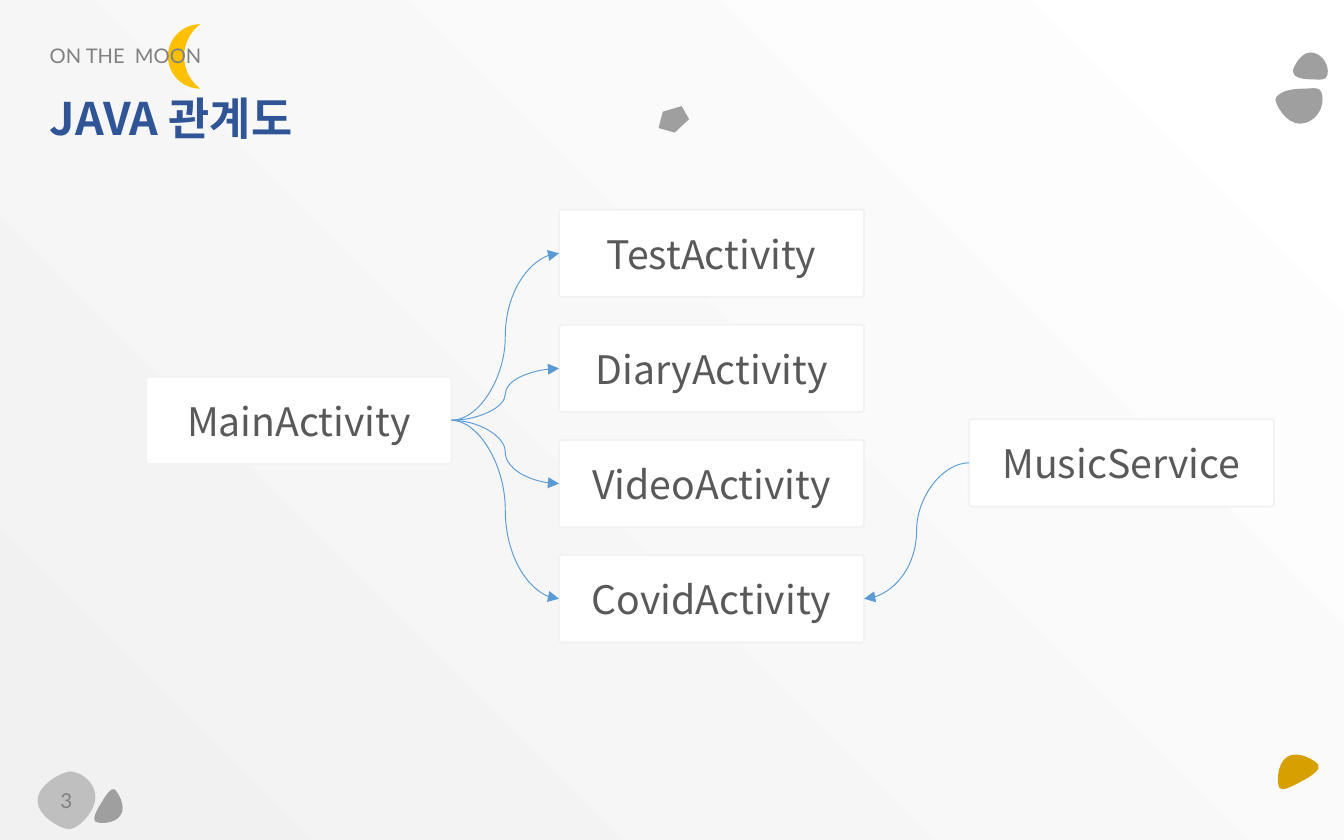
import math

import lxml.etree
import pptx
import pptx.util
from pptx.dml.color import RGBColor
from pptx.enum.shapes import MSO_CONNECTOR, MSO_SHAPE
from pptx.enum.text import MSO_ANCHOR, MSO_AUTO_SIZE, PP_ALIGN
from pptx.oxml.ns import qn

WIDTH, HEIGHT = 10, 6.25
COLORS = {
    "shade": "F1F1F1", "white": "FFFFFF", "border": "F2F2F2",
    "stone": "9F9F9F", "badge": "BFBFBF", "moon": "FFC000", "gold": "D6A100",
    "muted": "808080", "heading": "2F5597", "label": "595959", "arrow": "5B9BD5",
}
LATIN, KOREAN = "Lato", "Noto Sans CJK KR"

SECTION, HEADING, PAGE = "ON THE  MOON", "JAVA 관계도", "3"

# class name: (column, row) on the diagram grid
CLASSES = {
    "MainActivity": (0, 1.45),
    "TestActivity": (1, 0),
    "DiaryActivity": (1, 1),
    "VideoActivity": (1, 2),
    "CovidActivity": (1, 3),
    "MusicService": (2, 1.82),
}
CALLS = [("MainActivity", name) for name, (column, _) in CLASSES.items() if column == 1]
CALLS.append(("MusicService", "CovidActivity"))

COLUMN_LEFTS = (1.09, 4.16, 7.21)
GRID_TOP, ROW_PITCH = 1.56, 2.57 / 3
BOX_WIDTH, BOX_HEIGHT = 2.27, 0.65
LEFT_SITE, RIGHT_SITE = 1, 3

# colour, rotation, centre, then the start and the Bezier points, three to a curve
PEBBLES = [
    ("stone", 0, (9.66, 0.79), [
        (9.49, 0.74), (9.5, 0.69), (9.59, 0.66), (9.69, 0.66), (9.78, 0.66), (9.84, 0.63),
        (9.84, 0.74), (9.84, 0.84), (9.76, 0.92), (9.67, 0.92), (9.57, 0.92), (9.49, 0.78),
        (9.49, 0.74)]),
    ("stone", 30, (0.83, 6.02), [
        (0.75, 5.98), (0.79, 5.91), (0.83, 5.86), (0.85, 5.87), (0.88, 5.89), (0.94, 6),
        (0.9, 6.06), (0.86, 6.13), (0.74, 6.13), (0.71, 6.11), (0.69, 6.1), (0.71, 6.04),
        (0.75, 5.98)]),
    ("stone", 0, (9.75, 0.49), [
        (9.62, 0.53), (9.62, 0.5), (9.68, 0.39), (9.75, 0.39), (9.82, 0.39), (9.88, 0.46),
        (9.88, 0.53), (9.88, 0.61), (9.82, 0.59), (9.75, 0.59), (9.68, 0.59), (9.62, 0.57),
        (9.62, 0.53)]),
    ("gold", 240, (9.63, 5.73), [
        (9.68, 5.82), (9.59, 5.87), (9.52, 5.9), (9.51, 5.87), (9.49, 5.84), (9.49, 5.69),
        (9.57, 5.64), (9.65, 5.59), (9.78, 5.67), (9.8, 5.7), (9.82, 5.73), (9.76, 5.78),
        (9.68, 5.82)]),
]
PAGE_BADGE = ("badge", 0, (0.49, 5.95), [
    (0.28, 5.96), (0.28, 5.84), (0.45, 5.75), (0.52, 5.74), (0.59, 5.74), (0.71, 5.81),
    (0.71, 5.93), (0.71, 6.04), (0.59, 6.16), (0.52, 6.17), (0.45, 6.17), (0.28, 6.07),
    (0.28, 5.96)])


def inches(*lengths):
    return [pptx.util.Inches(length) for length in lengths]


def rgb(color):
    return RGBColor.from_string(COLORS[color])


def paint(shape, fill, line=None):
    shape.shadow.inherit = False
    shape.fill.solid()
    shape.fill.fore_color.rgb = rgb(fill)
    if line:
        shape.line.color.rgb = rgb(line)
        shape.line.width = pptx.util.Pt(1)
    else:
        shape.line.fill.background()


def write(shape, text, size, font, color, align, bold=False, before=0, spacing=1.0):
    frame = shape.text_frame
    frame.text = text
    frame.word_wrap = True
    frame.auto_size = MSO_AUTO_SIZE.NONE
    frame.vertical_anchor = MSO_ANCHOR.MIDDLE
    paragraph = frame.paragraphs[0]
    paragraph.alignment = align
    paragraph.space_before = pptx.util.Pt(before)
    paragraph.line_spacing = spacing
    run = paragraph.runs[0]
    run.font.size, run.font.name, run.font.bold = pptx.util.Pt(size), font, bold
    run.font.color.rgb = rgb(color)
    east_asian = lxml.etree.SubElement(run.font._element, qn("a:ea"))
    east_asian.set("typeface", font)


def place(shape, *box):
    shape.left, shape.top, shape.width, shape.height = inches(*box)
    shape._element.getparent().append(shape._element)  # bring to front


def turn(point, center, degrees):
    angle = math.radians(degrees)
    x, y = point[0] - center[0], point[1] - center[1]
    return (center[0] + x * math.cos(angle) - y * math.sin(angle),
            center[1] + x * math.sin(angle) + y * math.cos(angle))


def add_pebble(shapes, color, rotation, center, points):
    start, *rest = [inches(*turn(point, center, -rotation)) for point in points]
    outline = shapes.build_freeform(*start)
    outline.add_line_segments(rest, close=True)
    pebble = outline.convert_to_shape()
    # Join each three straight steps into one Bezier curve.
    steps = list(pebble._element.iter(qn("a:lnTo")))
    for first in range(0, len(rest), 3):
        curve = lxml.etree.Element(qn("a:cubicBezTo"))
        steps[first].addprevious(curve)
        for step in steps[first:first + 3]:
            curve.append(step[0])
            step.getparent().remove(step)
    pebble.rotation = rotation
    paint(pebble, color)
    return pebble


def add_class(shapes, name, column, row):
    box = shapes.add_shape(MSO_SHAPE.ROUNDED_RECTANGLE, *inches(
        COLUMN_LEFTS[column], GRID_TOP + row * ROW_PITCH, BOX_WIDTH, BOX_HEIGHT))
    box.adjustments[0] = 0.035
    paint(box, "white", "border")
    write(box, name, 21, KOREAN, "label", PP_ALIGN.CENTER, before=7.5)
    return box


def add_call(shapes, caller, callee):
    rightward = caller.left < callee.left
    sites = (RIGHT_SITE, LEFT_SITE) if rightward else (LEFT_SITE, RIGHT_SITE)
    arrow = shapes.add_connector(MSO_CONNECTOR.CURVE, 0, 0, 0, 0)
    arrow.begin_connect(caller, sites[0])
    arrow.end_connect(callee, sites[1])
    arrow.line.color.rgb = rgb("arrow")
    arrow.line.width = pptx.util.Pt(0.5)
    lxml.etree.SubElement(arrow.line._get_or_add_ln(), qn("a:tailEnd")).set("type", "triangle")
    lxml.etree.SubElement(arrow._element.spPr, qn("a:effectLst"))


def main():
    deck = pptx.Presentation()
    deck.slide_width, deck.slide_height = inches(WIDTH, HEIGHT)
    slide = deck.slides.add_slide(deck.slide_layouts[1])
    shapes = slide.shapes

    backdrop = slide.background.fill
    backdrop.gradient()
    backdrop.gradient_angle = 45
    for stop, color in zip(backdrop.gradient_stops, ("shade", "white")):
        stop.color.rgb = rgb(color)

    pentagon = shapes.add_shape(MSO_SHAPE.REGULAR_PENTAGON, *inches(4.91, 0.78, 0.18, 0.23))
    pentagon.rotation = 240
    paint(pentagon, "stone")
    moon = shapes.add_shape(MSO_SHAPE.MOON, *inches(1.25, 0.18, 0.24, 0.48))
    paint(moon, "moon")
    for pebble in PEBBLES:
        add_pebble(shapes, *pebble)

    section, heading = shapes.title, slide.placeholders[1]
    place(section, 0.27, 0.31, 1.87, 0.23)
    write(section, SECTION, 10.8, LATIN, "muted", PP_ALIGN.JUSTIFY, spacing=0.9)
    badge = add_pebble(shapes, *PAGE_BADGE)
    write(badge, PAGE, 11, LATIN, "muted", PP_ALIGN.CENTER)
    place(heading, 0.27, 0.64, 4.73, 0.47)
    write(heading, HEADING, 24, KOREAN, "heading", PP_ALIGN.LEFT, bold=True, before=7.5)
    layout = heading.text_frame.paragraphs[0]._p.get_or_add_pPr()
    layout.set("marL", "0")
    layout.set("indent", "0")
    lxml.etree.SubElement(layout, qn("a:buNone"))

    boxes = {name: add_class(shapes, name, *cell) for name, cell in CLASSES.items()}
    for caller, callee in CALLS:
        add_call(shapes, boxes[caller], boxes[callee])

    deck.save("out.pptx")


if __name__ == "__main__":
    main()
